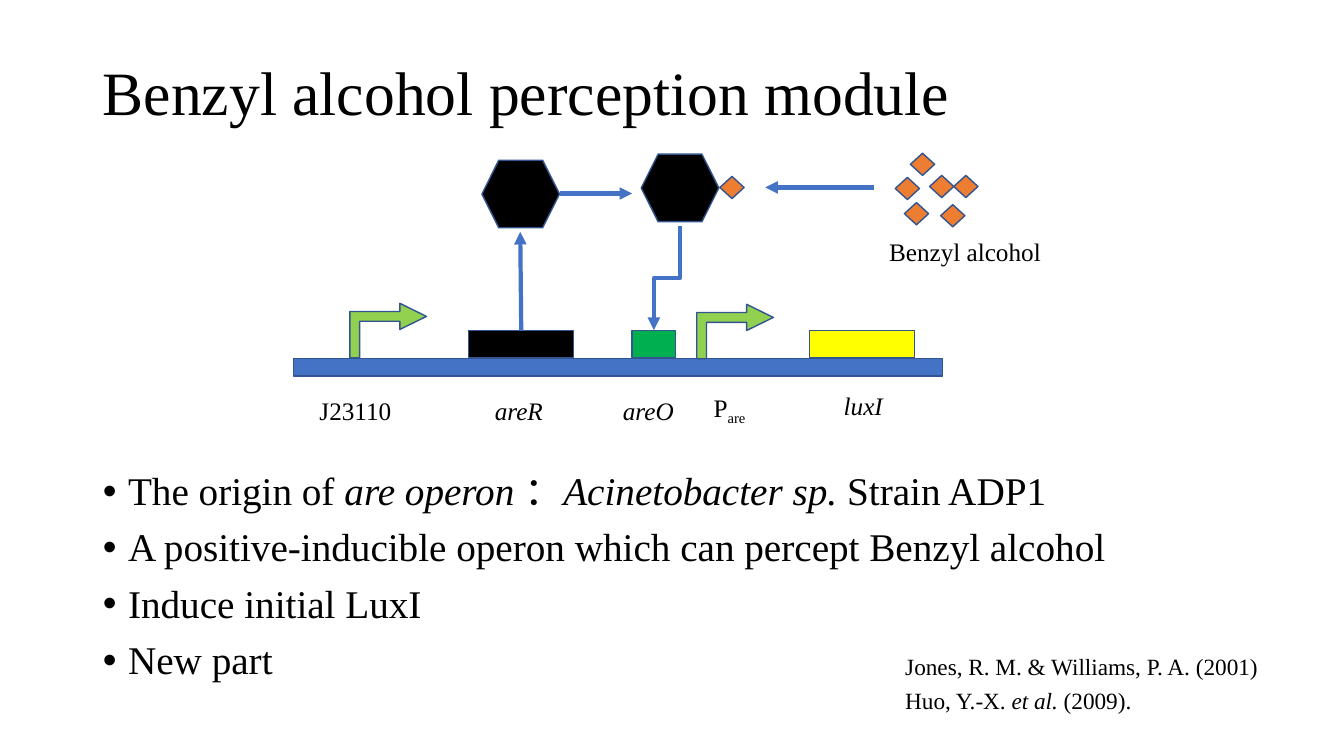
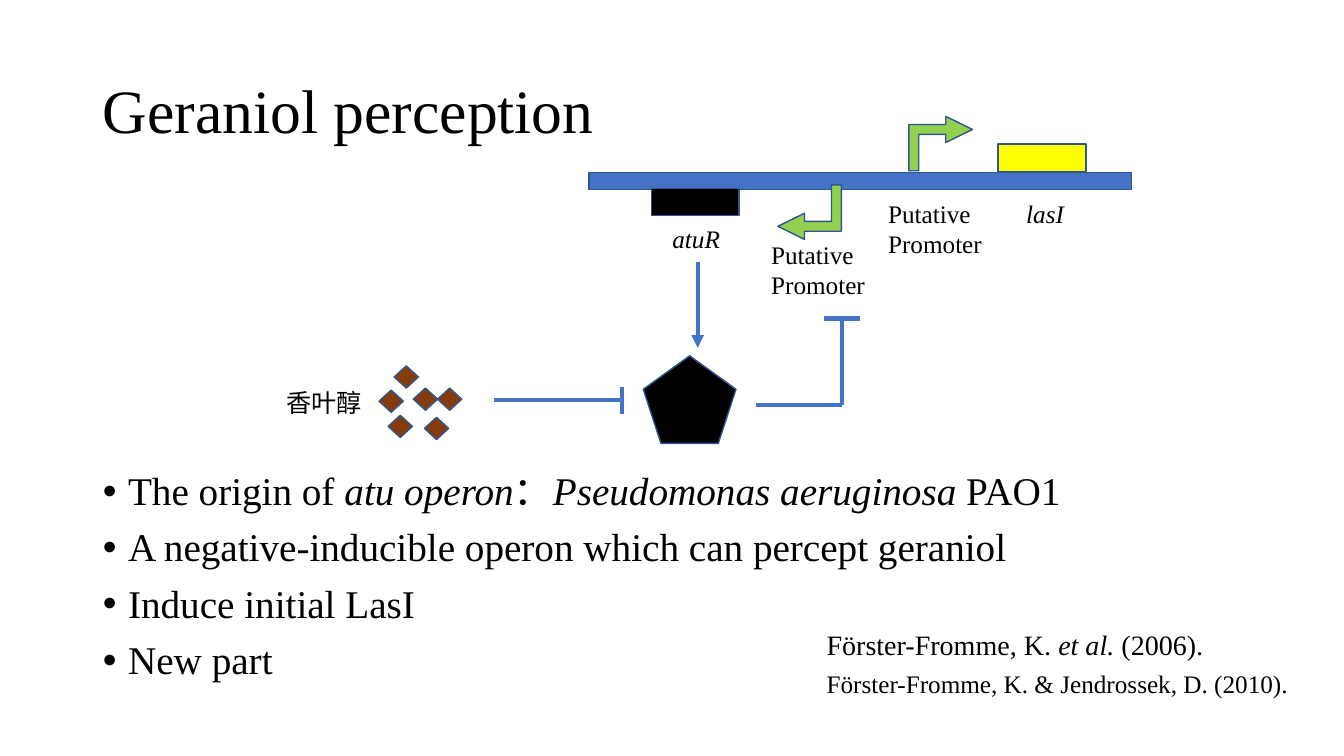
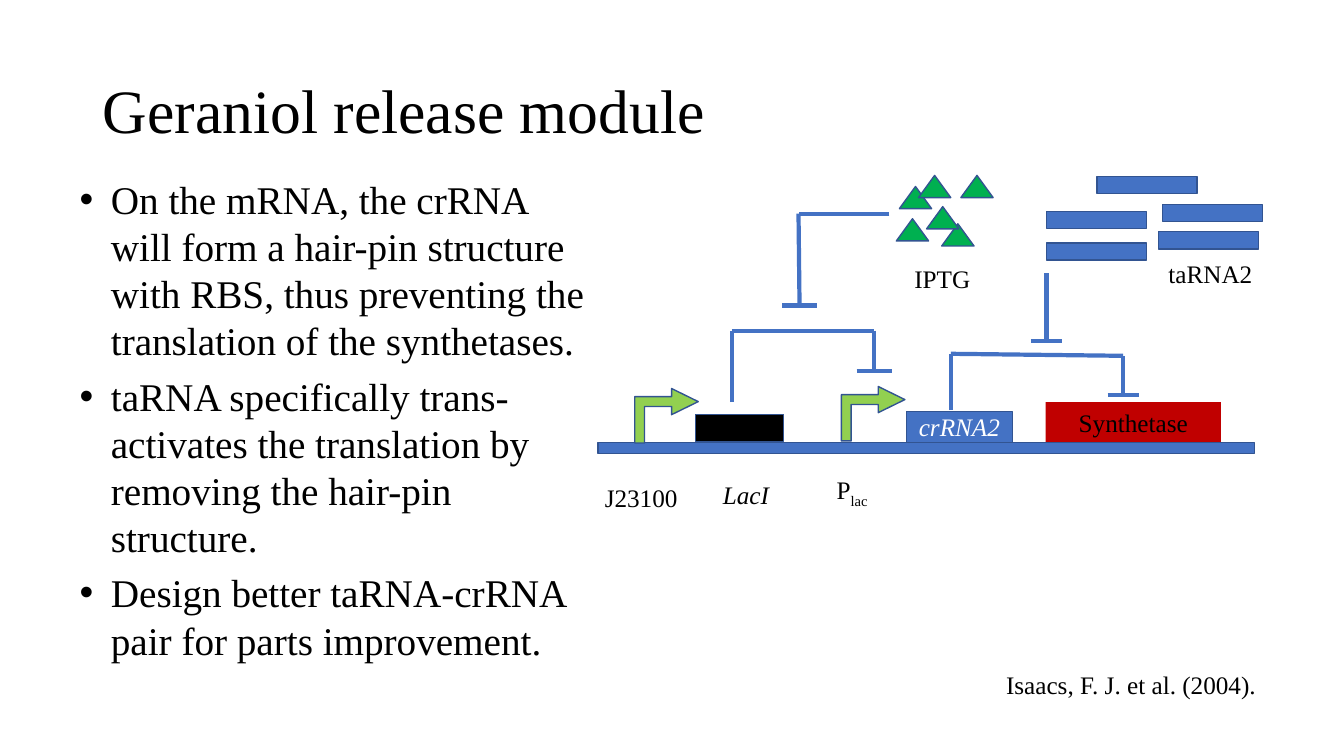
from lxml import etree
from pptx import Presentation
from pptx.dml.color import RGBColor
from pptx.enum import shapes, text
from pptx.oxml.ns import qn
from pptx.util import Inches, Pt

BLACK = RGBColor(0x00, 0x00, 0x00)
WHITE = RGBColor(0xFF, 0xFF, 0xFF)
BLUE = RGBColor(0x44, 0x72, 0xC4)
NAVY = RGBColor(0x32, 0x54, 0x91)
LIME = RGBColor(0x92, 0xD0, 0x50)
GREEN = RGBColor(0x00, 0xB0, 0x50)
YELLOW = RGBColor(0xFF, 0xFF, 0x00)
ORANGE = RGBColor(0xED, 0x7D, 0x31)
BROWN = RGBColor(0x84, 0x3C, 0x0B)
RED = RGBColor(0xC0, 0x00, 0x00)
LATIN, CJK = "Times New Roman", "Noto Sans CJK SC"
SHAPE = shapes.MSO_SHAPE
LINE = shapes.MSO_CONNECTOR
LEFT, CENTER = text.PP_ALIGN.LEFT, text.PP_ALIGN.CENTER
TOP, MIDDLE = text.MSO_ANCHOR.TOP, text.MSO_ANCHOR.MIDDLE
LIST_BOX = (0.92, 4.63, 11.5, 2.27)


def put_text(tf, paragraphs, size=18, color=BLACK, italic=False, align=LEFT,
             anchor=TOP, spacing=1.0, before=0, bullet=0):
    tf.word_wrap = True
    tf.auto_size = text.MSO_AUTO_SIZE.NONE
    tf.vertical_anchor = anchor
    for i, runs in enumerate(paragraphs):
        p = tf.paragraphs[0] if i == 0 else tf.add_paragraph()
        if bullet:
            pPr = p._p.get_or_add_pPr()
            pPr.set("marL", str(Inches(bullet)))
            pPr.set("indent", str(-Inches(bullet)))
            etree.SubElement(pPr, qn("a:buChar")).set("char", "•")
        p.alignment = align
        p.line_spacing = spacing
        p.space_before = Pt(before if i else 0)
        for run in [(runs, "")] if isinstance(runs, str) else runs:
            words, style = run
            r = p.add_run()
            r.text = words
            r.font.name = LATIN
            r.font.size = Pt(size)
            r.font.color.rgb = color
            r.font.italic = italic or style == "i"
            rPr = r._r.get_or_add_rPr()
            etree.SubElement(rPr, qn("a:ea")).set("typeface", CJK)
            if style == "sub":
                rPr.set("baseline", "-25000")


def place(sp, x, y, w, h):
    sp.left, sp.top, sp.width, sp.height = map(Inches, (x, y, w, h))


class Region:
    def __init__(self, s, x, y):
        self.s, self.x, self.y = s, x, y

    def at(self, x, y):
        return Inches(self.x + x), Inches(self.y + y)

    def shape(self, kind, x, y, w, h, fill, outline=True):
        sp = self.s.shapes.add_shape(kind, *self.at(x, y), Inches(w), Inches(h))
        sp.shadow.inherit = False
        sp.fill.solid()
        sp.fill.fore_color.rgb = fill
        if outline:
            sp.line.color.rgb = NAVY
            sp.line.width = Pt(1)
        else:
            sp.line.fill.background()
        return sp

    def scatter(self, kind, spots, w, h, fill):
        for x, y in spots:
            self.shape(kind, x, y, w, h, fill)

    def promoter(self, x, y, length, angle=270):
        sp = self.shape(SHAPE.BENT_UP_ARROW, x, y, 0.54, length, LIME)
        for i, value in enumerate((0.18, 0.24, 0.49)):
            sp.adjustments[i] = value
        sp.rotation = angle
        sp.element.spPr.get_or_add_xfrm().set("flipV", "1")

    def label(self, words, x, y, w, h=0.4, **fmt):
        sp = self.s.shapes.add_textbox(*self.at(x, y), Inches(w), Inches(h))
        put_text(sp.text_frame, words if isinstance(words, list) else [words], **fmt)

    def link(self, start, end, arrow=False, kind=LINE.STRAIGHT):
        c = self.s.shapes.add_connector(kind, *self.at(*start), *self.at(*end))
        c.line.color.rgb = BLUE
        c.line.width = Pt(3)
        spPr = c.element.spPr
        if arrow:
            ln = spPr.find(qn("a:ln"))
            etree.SubElement(ln, qn("a:tailEnd")).set("type", "triangle")
        etree.SubElement(spPr, qn("a:effectLst"))
        return c

    def inhibit(self, points, bar):
        for start, end in zip(points, points[1:]):
            self.link(start, end)
        (x0, y0), (x, y) = points[-2:]
        dx, dy = (bar / 2, 0) if abs(y - y0) > abs(x - x0) else (0, bar / 2)
        self.link((x - dx, y - dy), (x + dx, y + dy))


def new_slide(prs, title, items, title_top=0.4, box=LIST_BOX, **fmt):
    s = prs.slides.add_slide(prs.slide_layouts[1])
    place(s.shapes.title, 0.92, title_top, 11.5, 1.45)
    put_text(s.shapes.title.text_frame, [title], size=44, anchor=MIDDLE, spacing=0.9)
    body = s.placeholders[1]
    place(body, *box)
    style = dict(size=28, spacing=0.9, before=10, bullet=0.25)
    put_text(body.text_frame, items, **{**style, **fmt})
    return s


def molecules(s, x, y, fill):
    spots = [(0.15, 0), (0.58, 0.22), (0.09, 0.49), (0, 0.24), (0.34, 0.22), (0.45, 0.51)]
    Region(s, x, y).scatter(SHAPE.DIAMOND, spots, 0.24, 0.22, fill)


def benzyl_circuit(s, x, y):
    g = Region(s, x, y)
    g.shape(SHAPE.RECTANGLE, 0.01, 2.06, 6.44, 0.17, BLUE)
    for left, width, fill in ((1.75, 1.04, BLACK), (3.37, 0.43, GREEN), (5.13, 1.04, YELLOW)):
        g.shape(SHAPE.RECTANGLE, left, 1.78, width, 0.27, fill)
    g.promoter(0.68, 1.4, 0.76)
    g.promoter(4.12, 1.41, 0.76)
    g.label("J23110", 0.17, 2.37, 0.98)
    g.label("areR", 1.91, 2.37, 0.8, italic=True)
    g.label("areO", 3.18, 2.37, 0.8, italic=True)
    g.label([[("P", ""), ("are", "sub")]], 4.08, 2.34, 0.7)
    g.label("luxI", 5.37, 2.32, 0.7, italic=True)
    g.label("Benzyl alcohol", 5.82, 0.8, 1.8)
    g.shape(SHAPE.HEXAGON, 1.88, 0.09, 0.77, 0.67, BLACK)
    g.shape(SHAPE.HEXAGON, 3.46, 0.03, 0.77, 0.67, BLACK)
    g.shape(SHAPE.DIAMOND, 4.24, 0.25, 0.24, 0.22, ORANGE)
    molecules(s, x + 5.98, y + 0.02, ORANGE)
    g.link((2.27, 1.78), (2.26, 0.8), arrow=True)
    g.link((2.65, 0.42), (3.37, 0.42), arrow=True)
    g.link((5.77, 0.36), (4.69, 0.36), arrow=True)
    elbow = g.link((3.2, 1.13), (4.23, 1.39), arrow=True, kind=LINE.ELBOW)
    elbow.element.spPr.get_or_add_xfrm().set("rot", str(90 * 60000))


def geraniol_circuit(s, x, y):
    g = Region(s, x, y)
    g.shape(SHAPE.RECTANGLE, 3.14, 0.61, 5.38, 0.17, BLUE)
    g.promoter(5.06, 0.69, 0.63, angle=90)
    g.promoter(6.36, 0.01, 0.63)
    g.shape(SHAPE.RECTANGLE, 3.76, 0.77, 0.87, 0.27, BLACK)
    g.shape(SHAPE.RECTANGLE, 7.2, 0.33, 0.87, 0.27, YELLOW)
    g.label("atuR", 3.87, 1.07, 0.75, italic=True)
    g.label("Putative Promoter", 6.01, 0.82, 1.19, 0.5)
    g.label("lasI", 7.38, 0.82, 0.7, italic=True)
    g.label(["Putative", "Promoter"], 4.85, 1.22, 1.3, 0.71)
    g.label("香叶醇", 0.04, 2.69, 1.05)
    molecules(s, x + 1.06, y + 2.53, BROWN)
    g.shape(SHAPE.REGULAR_PENTAGON, 3.68, 2.43, 0.92, 0.87, BLACK)
    g.link((4.22, 1.5), (4.22, 2.35), arrow=True)
    g.inhibit([(4.8, 2.92), (5.65, 2.92), (5.65, 2.06)], 0.35)
    g.inhibit([(2.2, 2.87), (3.47, 2.87)], 0.27)


def release_circuit(s, x, y):
    g = Region(s, x, y)
    g.inhibit([(3.53, 2.37), (3.53, 1.81), (5.24, 1.83), (5.24, 2.22)], 0.31)
    g.inhibit([(4.48, 1.01), (4.48, 1.68)], 0.31)
    g.inhibit([(1.36, 2.29), (1.36, 1.58), (2.77, 1.58), (2.77, 1.98)], 0.35)
    g.inhibit([(2.92, 0.42), (2.02, 0.42), (2.03, 1.33)], 0.34)
    sp = g.shape(SHAPE.RECTANGLE, 4.47, 2.29, 1.74, 0.4, RED, outline=False)
    put_text(sp.text_frame, ["Synthetase"], align=CENTER, anchor=MIDDLE)
    strands = [(4.48, 0.4), (5.63, 0.33), (4.48, 0.71), (5.59, 0.6), (4.98, 0.05)]
    g.scatter(SHAPE.FLOWCHART_PROCESS, strands, 0.99, 0.17, BLUE)
    sp = g.shape(SHAPE.FLOWCHART_PROCESS, 3.09, 2.38, 1.05, 0.31, BLUE)
    put_text(sp.text_frame, ["crRNA2"], color=WHITE, italic=True,
             align=CENTER, anchor=MIDDLE)
    g.shape(SHAPE.FLOWCHART_PROCESS, 0.03, 2.69, 6.51, 0.11, BLUE)
    inducers = [(3.02, 0.15), (3.63, 0.04), (3.44, 0.52), (2.99, 0.47), (3.29, 0.35), (3.21, 0.04)]
    g.scatter(SHAPE.ISOSCELES_TRIANGLE, inducers, 0.32, 0.22, GREEN)
    g.promoter(0.44, 2.11, 0.63)
    g.promoter(2.49, 2.09, 0.63)
    g.shape(SHAPE.RECTANGLE, 1, 2.41, 0.87, 0.27, BLACK)
    g.label("taRNA2", 5.59, 0.81, 1.15)
    g.label("IPTG", 3.07, 0.86, 0.85)
    g.label("J23100", 0, 3.04, 1)
    g.label("LacI", 1.17, 3.01, 0.75, italic=True)
    g.label([[("P", ""), ("lac", "sub")]], 2.3, 2.96, 0.65)


def benzyl_slide(prs):
    s = new_slide(prs, "Benzyl alcohol perception module", [
        [("The origin of ", ""), ("are operon ", "i"), ("：", ""),
         ("Acinetobacter sp.", "i"), (" Strain ADP1", "")],
        "A positive-inducible operon which can percept Benzyl alcohol",
        "Induce initial LuxI",
        "New part"], title_top=0.22)
    benzyl_circuit(s, 2.9, 1.5)
    Region(s, 8.88, 6.5).label(
        ["Jones, R. M. & Williams, P. A. (2001)",
         [("Huo, Y.-X. ", ""), ("et al.", "i"), (" (2009).", "")]],
        0, 0, 4.18, 0.69, size=16.6, spacing=0.7, before=10)


def geraniol_slide(prs):
    s = new_slide(prs, "Geraniol perception", [
        [("The origin of ", ""), ("atu operon", "i"), ("：", ""),
         ("Pseudomonas aeruginosa ", "i"), ("PAO1", "")],
        "A negative-inducible operon which can percept geraniol",
        "Induce initial LasI",
        "New part"])
    geraniol_circuit(s, 2.7, 1.1)
    g = Region(s, 8.1, 6.18)
    g.label([[("Förster-Fromme, K. ", ""), ("et al.", "i"), (" (2006).", "")]],
            0, 0, 4.65, 0.44, size=20)
    g.label("Förster-Fromme, K. & Jendrossek, D. (2010).", 0, 0.4, 5.03)


def release_slide(prs):
    s = new_slide(prs, "Geraniol release module", [
        "On the mRNA, the crRNA will form a hair-pin structure with RBS, "
        "thus preventing the translation of the synthetases.",
        "taRNA specifically trans-activates the translation by removing "
        "the hair-pin structure.",
        "Design better taRNA-crRNA pair for parts improvement."],
        box=(0.69, 1.69, 5.25, 4.98), spacing=1.0, before=6, bullet=0.31)
    release_circuit(s, 5.9, 1.7)
    Region(s, 9.88, 6.59).label("Isaacs, F. J. et al. (2004).", 0, 0, 3.09)


def main():
    prs = Presentation()
    prs.slide_width, prs.slide_height = Inches(13.33), Inches(7.5)
    benzyl_slide(prs)
    geraniol_slide(prs)
    release_slide(prs)
    prs.save("out.pptx")


if __name__ == "__main__":
    main()
